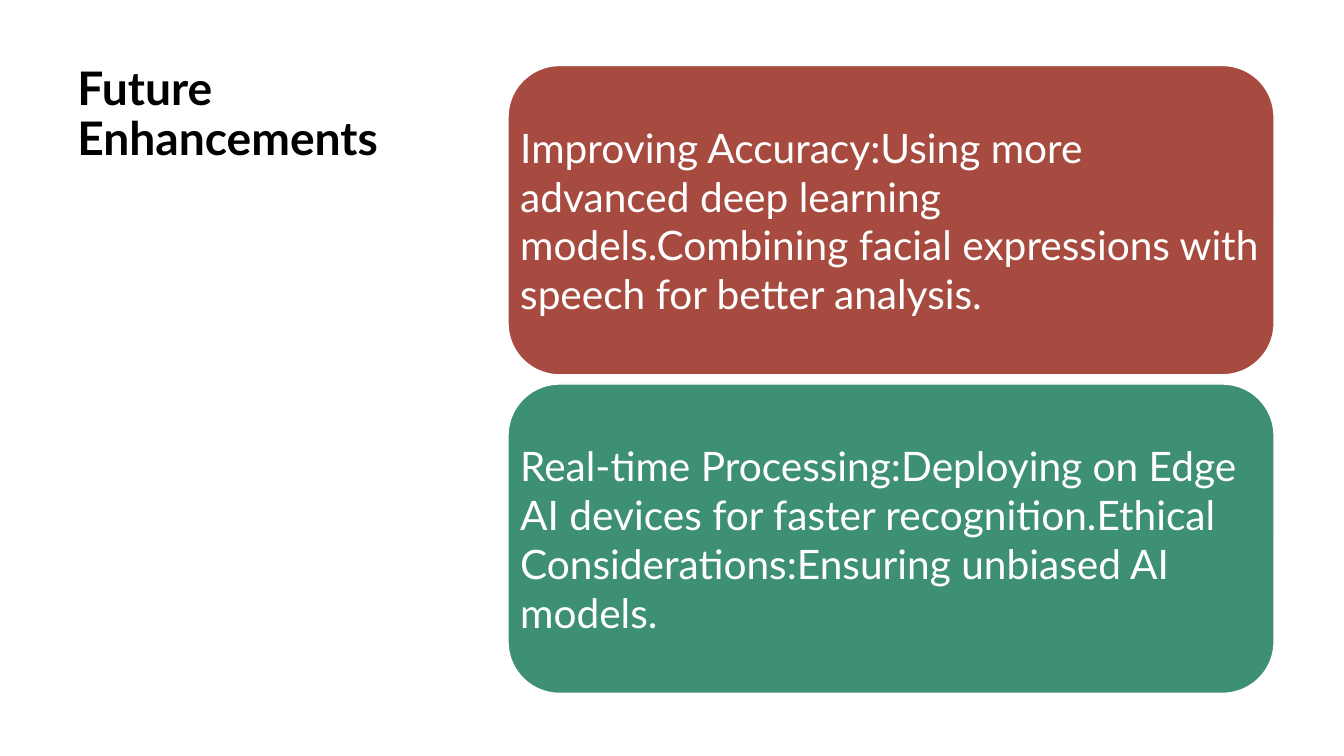
from pptx import Presentation
from pptx.dml.color import RGBColor as RGB
from pptx.enum.shapes import MSO_SHAPE as SHAPE
from pptx.enum.text import MSO_ANCHOR as ANCHOR
from pptx.util import Pt

TITLE = "Future Enhancements"
CARDS = [
    ("Improving Accuracy:Using more advanced deep learning models."
     "Combining facial expressions with speech for better analysis.", "red"),
    ("Real-time Processing:Deploying on Edge AI devices for faster recognition."
     "Ethical Considerations:Ensuring unbiased AI models.", "green"),
]
COLORS = {"black": "000000", "white": "FFFFFF", "red": "A74B40", "green": "3D9072"}
FONT = "Lato"
CARD_LEFT, CARD_TOP, CARD_W, CARD_H, CARD_GAP = 362.9, 46.8, 547.2, 221, 6.5


def color(name):
    return RGB.from_string(COLORS[name])


def add_text(s, text, box, size, fill, bold=False, spacing=1.0,
             anchor=ANCHOR.TOP, inset=(7.2, 3.6)):
    tf = s.shapes.add_textbox(*map(Pt, box)).text_frame
    tf.word_wrap = True
    tf.vertical_anchor = anchor
    tf.margin_left = tf.margin_right = Pt(inset[0])
    tf.margin_top = tf.margin_bottom = Pt(inset[1])
    p = tf.paragraphs[0]
    p.line_spacing = spacing
    r = p.add_run()
    r.text = text
    r.font.name = FONT
    r.font.size = Pt(size)
    r.font.bold = bold
    r.font.color.rgb = color(fill)


def add_card(s, box, fill):
    sp = s.shapes.add_shape(SHAPE.ROUNDED_RECTANGLE, *map(Pt, box))
    sp.shadow.inherit = False
    sp.fill.solid()
    sp.fill.fore_color.rgb = color(fill)
    sp.line.color.rgb = color("white")
    sp.line.width = Pt(1)


def main():
    prs = Presentation()
    prs.slide_width, prs.slide_height = Pt(960), Pt(540)
    s = prs.slides.add_slide(prs.slide_layouts[6])
    add_text(s, TITLE, (48.2, 43.2, 275, 455.8), 33, "black", bold=True, spacing=0.9)
    for i, (text, fill) in enumerate(CARDS):
        box = (CARD_LEFT, CARD_TOP + i * (CARD_H + CARD_GAP), CARD_W, CARD_H)
        add_card(s, box, fill)
        add_text(s, text, box, 29, "white", anchor=ANCHOR.MIDDLE, inset=(8.7, 8.7))
    prs.save("out.pptx")


if __name__ == "__main__":
    main()
